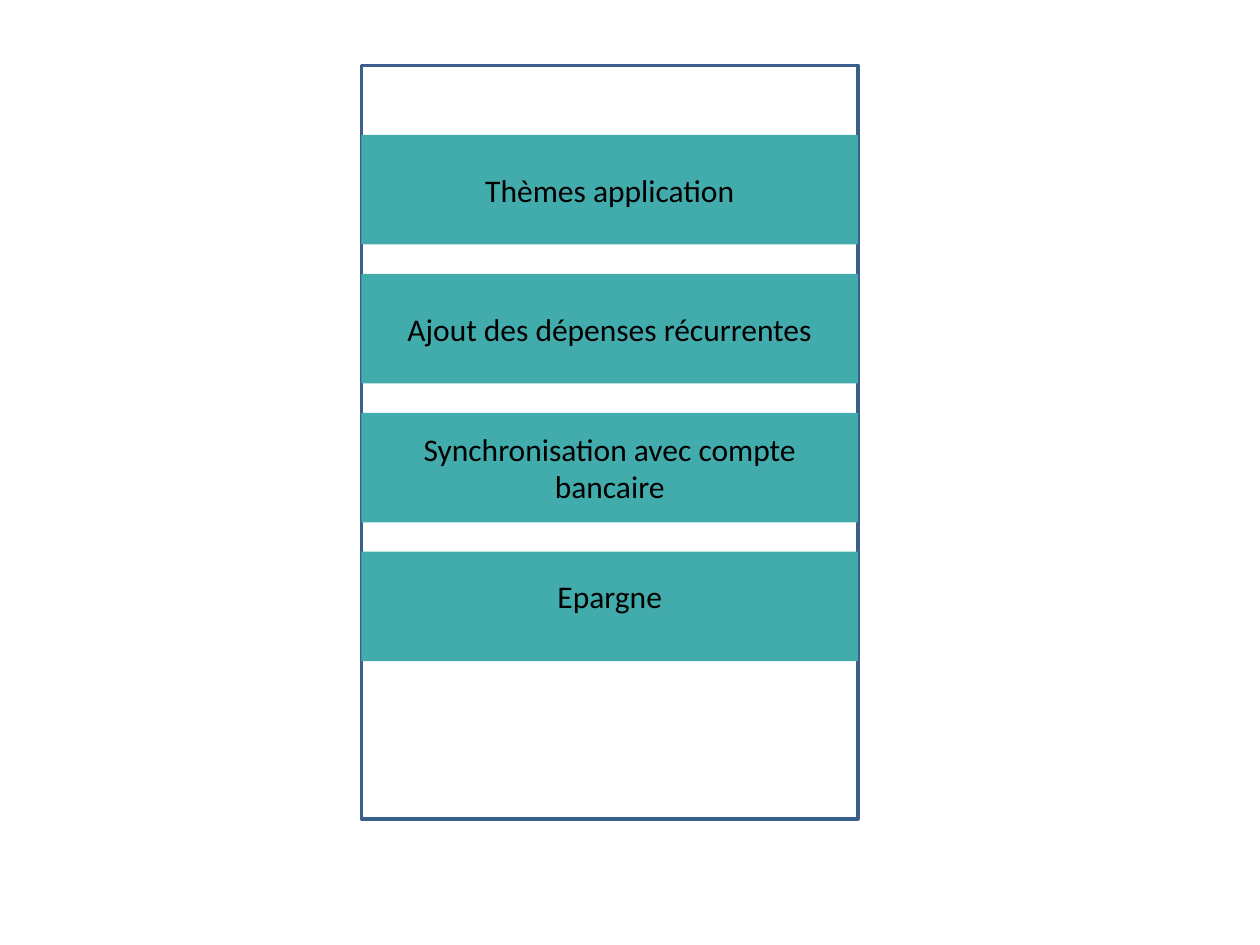
from pptx import Presentation
from pptx.dml.color import RGBColor
from pptx.enum.shapes import MSO_SHAPE
from pptx.enum.text import MSO_AUTO_SIZE, PP_ALIGN
from pptx.util import Pt

COLORS = {"frame": "3A5F8C", "band": "42ACAC", "text": "000000"}

prs = Presentation()
prs.slide_width, prs.slide_height = Pt(720), Pt(540)
slide = prs.slides.add_slide(prs.slide_layouts[6])

PANEL_LEFT, PANEL_WIDTH = 206.6, 283.7
BAND_TOP, BAND_HEIGHT, BAND_STEP = 77.1, 62.6, 79.4


def add_rectangle(top, height):
    shape = slide.shapes.add_shape(
        MSO_SHAPE.RECTANGLE, Pt(PANEL_LEFT), Pt(top), Pt(PANEL_WIDTH), Pt(height)
    )
    shape.shadow.inherit = False
    return shape


frame = add_rectangle(37.4, 430.6)
frame.fill.background()
frame.line.color.rgb = RGBColor.from_string(COLORS["frame"])
frame.line.width = Pt(2)

menu_items = [
    ("Thèmes application", 94.3, 209.5, 28.8),
    ("Ajout des dépenses récurrentes", 173.5, 254.9, 28.8),
    ("Synchronisation avec compte bancaire", 241.9, 254.9, 51.1),
    ("Epargne", 326.2, 254.9, 28.8),
]

for index, (label, label_top, label_width, label_height) in enumerate(menu_items):
    band = add_rectangle(BAND_TOP + index * BAND_STEP, BAND_HEIGHT)
    band.fill.solid()
    band.fill.fore_color.rgb = RGBColor.from_string(COLORS["band"])
    band.line.fill.background()

    label_left = PANEL_LEFT + (PANEL_WIDTH - label_width) / 2
    label_box = slide.shapes.add_textbox(
        Pt(label_left), Pt(label_top), Pt(label_width), Pt(label_height)
    )
    text_frame = label_box.text_frame
    text_frame.word_wrap = True
    text_frame.auto_size = MSO_AUTO_SIZE.SHAPE_TO_FIT_TEXT
    paragraph = text_frame.paragraphs[0]
    paragraph.alignment = PP_ALIGN.CENTER
    run = paragraph.add_run()
    run.text = label
    run.font.name = "Calibri"
    run.font.size = Pt(18)
    run.font.color.rgb = RGBColor.from_string(COLORS["text"])

prs.save("out.pptx")
